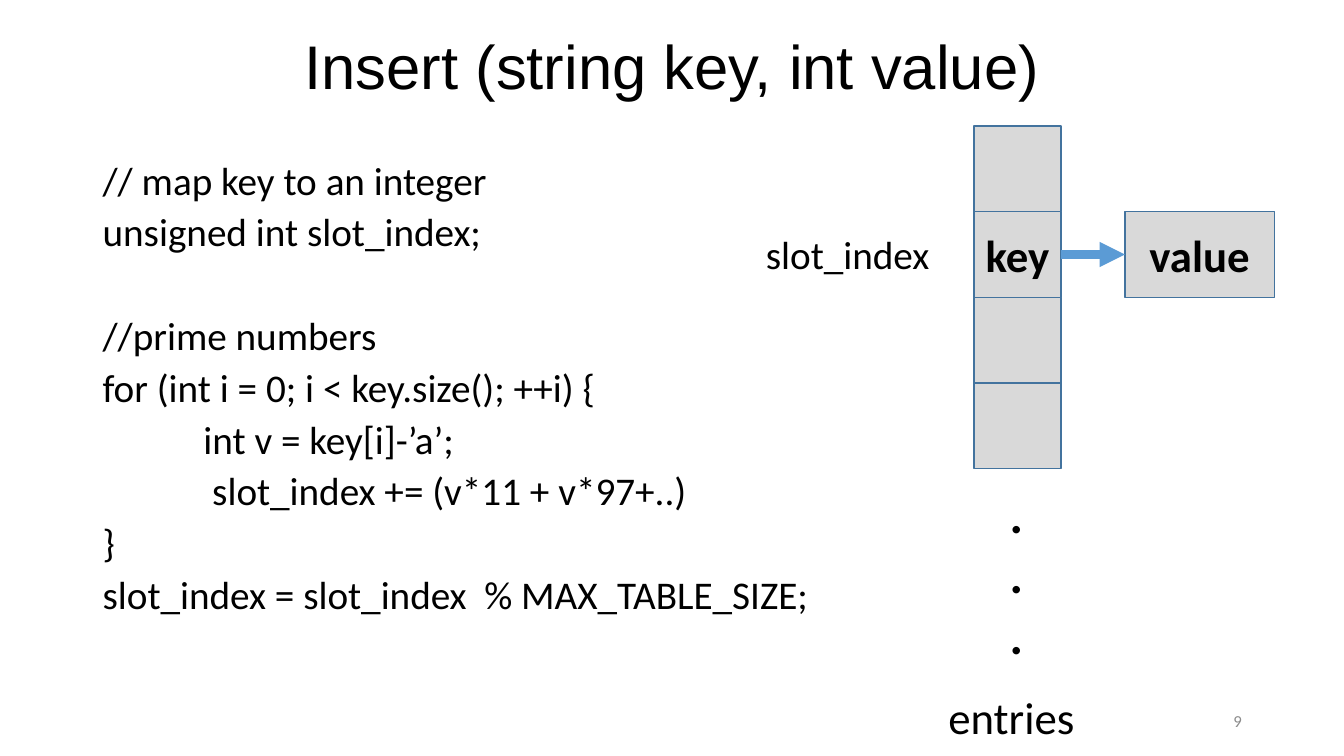
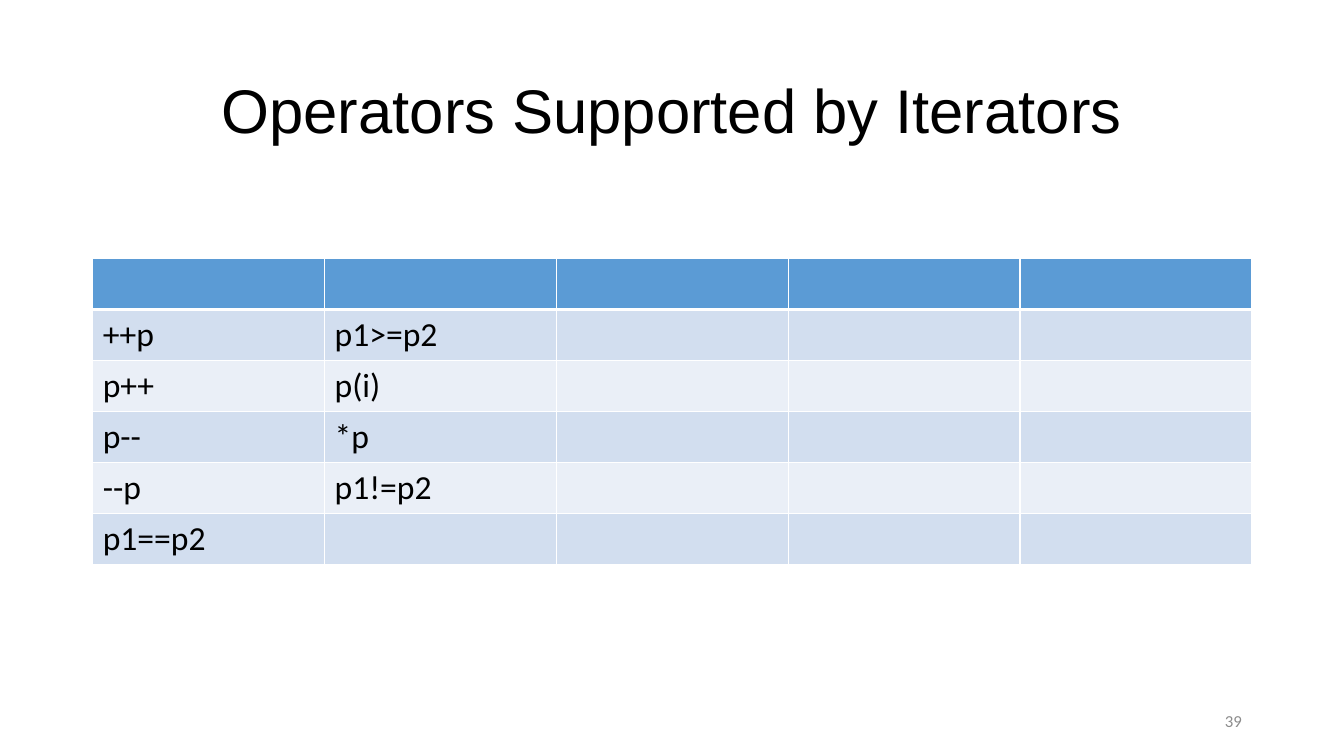
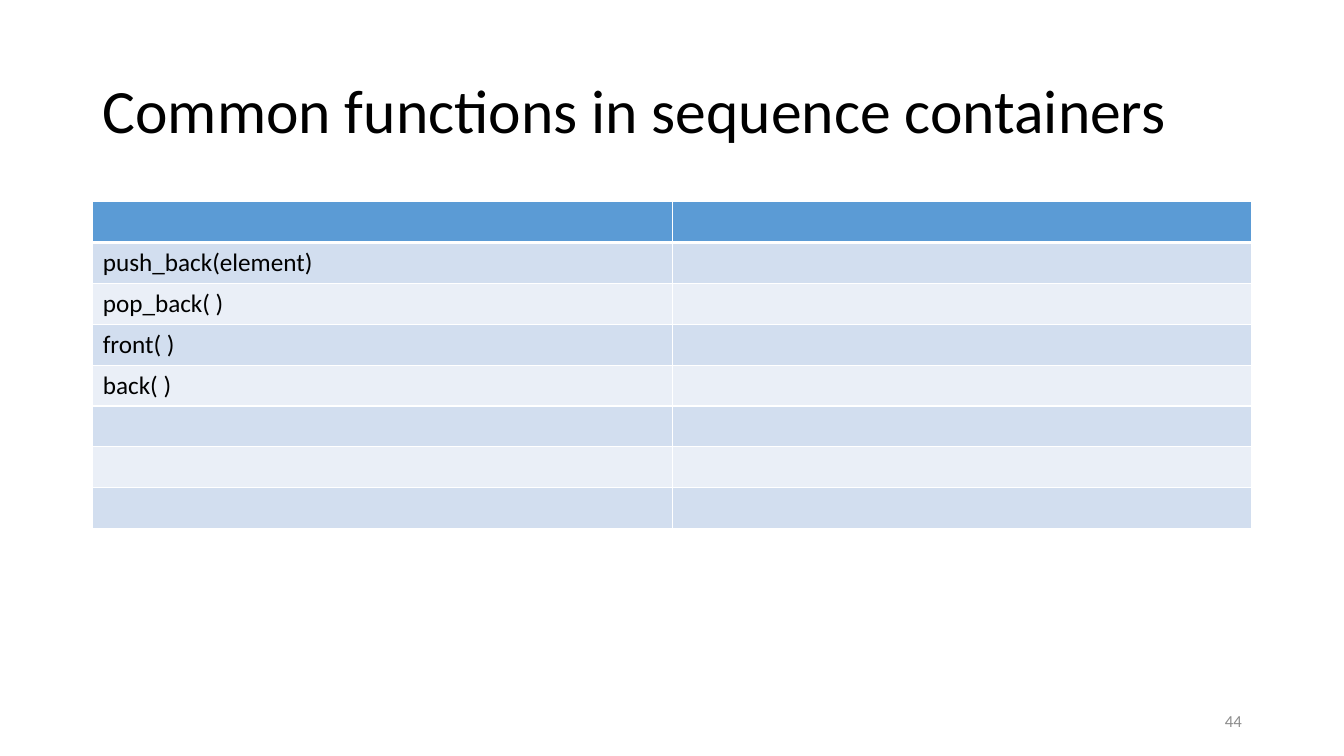
"""Build three slides on hash table insertion, iterators and sequence containers."""
from lxml import etree
from pptx import Presentation
from pptx.dml.color import RGBColor
from pptx.enum.shapes import MSO_CONNECTOR, MSO_SHAPE
from pptx.enum.text import MSO_ANCHOR, PP_ALIGN
from pptx.oxml import parse_xml
from pptx.oxml.ns import nsdecls, qn
from pptx.util import Pt

BLACK = RGBColor(0x00, 0x00, 0x00)
WHITE = RGBColor(0xFF, 0xFF, 0xFF)
GREY = RGBColor(0x8C, 0x8C, 0x8C)
SLOT_FILL = RGBColor(0xD9, 0xD9, 0xD9)
SLOT_LINE = RGBColor(0x43, 0x73, 0x9E)
BLUE = RGBColor(0x5B, 0x9B, 0xD5)
BAND_DARK = RGBColor(0xD2, 0xDE, 0xEF)
BAND_LIGHT = RGBColor(0xEA, 0xEF, 0xF7)

LEFT, WIDTH = 66.24, 828
TITLE_H = 104.4
SLOT_X, SLOT_Y, SLOT_W, SLOT_H = 695.7, 90, 62.1, 61.2
VALUE_X, VALUE_W = 803.5, 106.7


def add_text(sp, lines, size, font="Calibri", color=BLACK, bold=False,
             align=PP_ALIGN.LEFT, anchor=MSO_ANCHOR.TOP, spacing=None):
    tf = sp.text_frame
    tf.word_wrap = True
    tf.vertical_anchor = anchor
    for i, line in enumerate(lines):
        p = tf.add_paragraph() if i else tf.paragraphs[0]
        p.alignment = align
        p.line_spacing = spacing
        r = p.add_run()
        r.text = line
        r.font.name = font
        r.font.size = Pt(size)
        r.font.bold = bold
        r.font.color.rgb = color
    return tf


def add_box(slide, x, y, w, h):
    return slide.shapes.add_textbox(Pt(x), Pt(y), Pt(w), Pt(h))


prs = Presentation()
prs.slide_width, prs.slide_height = Pt(960), Pt(540)

slides = []
for title, font, align, top, number in (
    ("Insert (string key, int value)", "Arial", PP_ALIGN.CENTER, -2.2, "9"),
    ("Operators Supported by Iterators", "Arial", PP_ALIGN.CENTER, 28.8, "39"),
    ("Common functions in sequence containers", "Calibri", PP_ALIGN.LEFT, 28.8, "44"),
):
    slide = prs.slides.add_slide(prs.slide_layouts[6])
    add_text(add_box(slide, LEFT, top, WIDTH, TITLE_H), [title], 44, font,
             align=align, anchor=MSO_ANCHOR.MIDDLE, spacing=0.9)
    add_text(add_box(slide, 678.2, 500.4, 216, 28.8), [number], 12, color=GREY,
             align=PP_ALIGN.RIGHT, anchor=MSO_ANCHOR.MIDDLE)
    slides.append(slide)
insert_slide, operators_slide, functions_slide = slides

code = (
    ("// map key to an integer", 0, 10),
    ("unsigned int slot_index;", 0, 10),
    ("//prime numbers", 0, 47.3),
    ("for (int i = 0; i < key.size(); ++i) {", 0, 10),
    ("int v = key[i]-’a’;", 72, 10),
    ("slot_index += (v*11 + v*97+..)", 78.3, 10),
    ("}", 0, 10),
    ("slot_index = slot_index  % MAX_TABLE_SIZE;", 0, 10),
)
tf = add_text(add_box(insert_slide, LEFT, 114.5, WIDTH, 342.7),
              [line for line, _, _ in code], 28, spacing=0.8)
for p, (_, indent, before) in zip(tf.paragraphs, code):
    p.space_before = Pt(before)
    p._p.get_or_add_pPr().set("marL", str(Pt(indent)))

slots = [(SLOT_X, SLOT_W, row, "key" if row == 1 else "") for row in range(4)]
for x, w, row, label in slots + [(VALUE_X, VALUE_W, 1, "value")]:
    sp = insert_slide.shapes.add_shape(
        MSO_SHAPE.RECTANGLE, Pt(x), Pt(SLOT_Y + row * SLOT_H), Pt(w), Pt(SLOT_H))
    sp.shadow.inherit = False
    sp.fill.solid()
    sp.fill.fore_color.rgb = SLOT_FILL
    sp.line.color.rgb = SLOT_LINE
    sp.line.width = Pt(1)
    if label:
        add_text(sp, [label], 32, bold=True, align=PP_ALIGN.CENTER,
                 anchor=MSO_ANCHOR.MIDDLE)

arrow_y = Pt(SLOT_Y + 1.5 * SLOT_H)
arrow = insert_slide.shapes.add_connector(
    MSO_CONNECTOR.STRAIGHT, Pt(SLOT_X + SLOT_W), arrow_y, Pt(VALUE_X), arrow_y)
arrow.line.color.rgb = BLUE
arrow.line.width = Pt(6)
etree.SubElement(arrow.line._get_or_add_ln(), qn("a:tailEnd"), type="triangle")
etree.SubElement(arrow._element.spPr, qn("a:effectLst"))

add_text(add_box(insert_slide, 714.2, 341.3, 24.5, 138.2), ["."] * 3, 36, bold=True)
add_text(add_box(insert_slide, 670.3, 488.9, 113, 46.1), ["entries"], 32)
add_text(add_box(insert_slide, 540, 161.3, 133, 41), ["slot_index"], 28)

operators = [("++p", "p1>=p2"), ("p++", "p(i)"), ("p--", "*p"),
             ("--p", "p1!=p2"), ("p1==p2",)]
functions = [("push_back(element)",), ("pop_back( )",), ("front( )",),
             ("back( )",), (), (), ()]
for slide, body, cols, top, row_h, size in (
    (operators_slide, operators, 5, 184.6, 36.5, 24),
    (functions_slide, functions, 2, 144, 29.2, 18),
):
    rows = [()] + body
    table = slide.shapes.add_table(len(rows), cols, Pt(LEFT), Pt(top), Pt(WIDTH),
                                   Pt(row_h * len(rows))).table
    for i, texts in enumerate(rows):
        table.rows[i].height = Pt(row_h)
        for j in range(cols):
            cell = table.cell(i, j)
            cell.fill.solid()
            cell.fill.fore_color.rgb = (BAND_DARK if i % 2 else BAND_LIGHT) if i else BLUE
            if j < len(texts):
                add_text(cell, [texts[j]], size)
            for k, side in enumerate("LRTB"):
                thick = (side == "B" and i == 0) or (side == "T" and i == 1)
                cell._tc.get_or_add_tcPr().insert(k, parse_xml(
                    f'<a:ln{side} {nsdecls("a")} w="{Pt(3 if thick else 1)}">'
                    f'<a:solidFill><a:srgbClr val="{WHITE}"/></a:solidFill></a:ln{side}>'))

prs.save("out.pptx")
